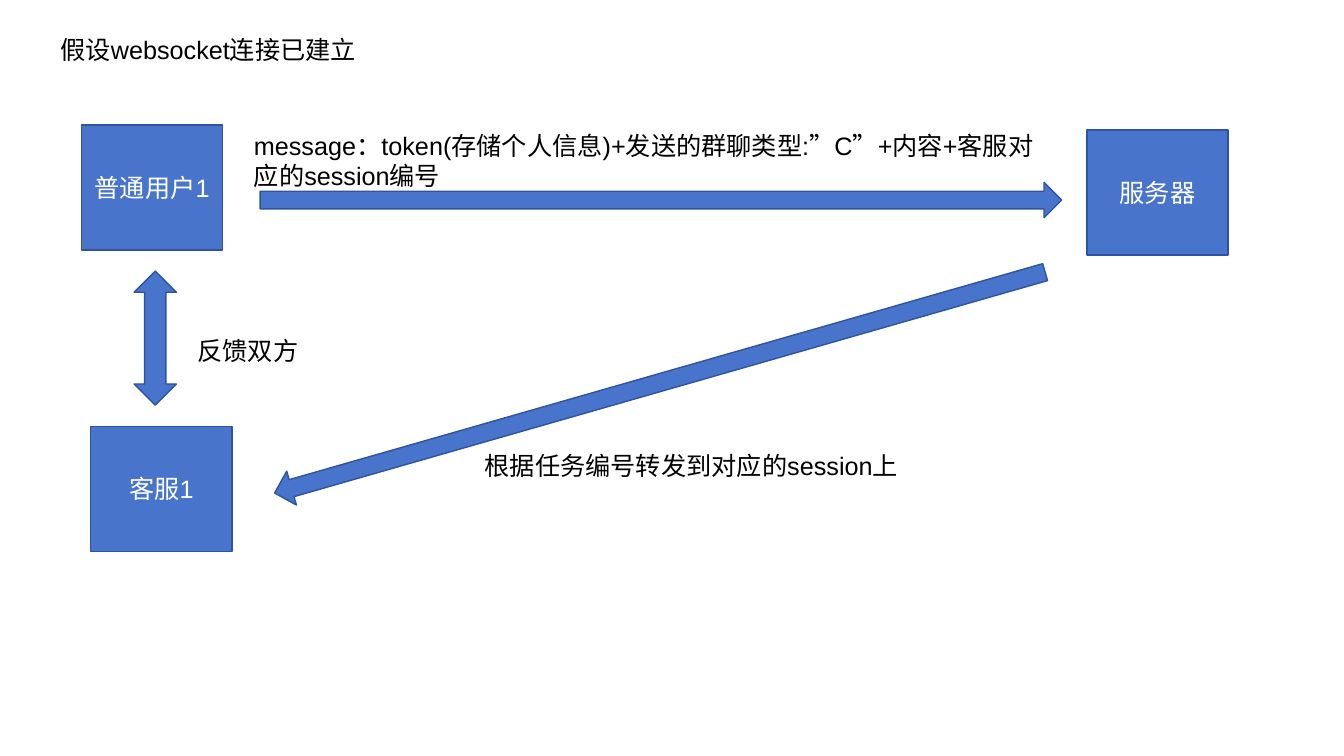
from pptx import Presentation
from pptx.dml.color import RGBColor
from pptx.enum.shapes import MSO_SHAPE as Shape
from pptx.enum.text import MSO_ANCHOR as Anchor, MSO_AUTO_SIZE as Fit, PP_ALIGN as Align
from pptx.util import Inches, Pt

COLORS = {"fill": "4874CB", "line": "2E54A1", "light": "FFFFFF", "dark": "000000"}


def color(name):
    """Return a palette colour."""
    return RGBColor.from_string(COLORS[name])


def write(frame, text, tint, align, anchor):
    """Fill a text frame with one styled paragraph."""
    frame.word_wrap = True
    frame.vertical_anchor = anchor
    frame.text = text
    para = frame.paragraphs[0]
    para.alignment = align
    font = para.font
    font.name, font.size, font.color.rgb = "Arial", Pt(18), color(tint)


def block(slide, kind, left, top, width, height, turn=0):
    """Add a filled and outlined preset shape."""
    shape = slide.shapes.add_shape(
        kind, Inches(left), Inches(top), Inches(width), Inches(height))
    shape.shadow.inherit = False
    shape.fill.solid()
    shape.fill.fore_color.rgb = color("fill")
    shape.line.color.rgb = color("line")
    shape.line.width = Pt(1)
    shape.rotation = turn
    return shape


def node(slide, text, left, top):
    """Add a labelled box for one party."""
    box = block(slide, Shape.RECTANGLE, left, top, 1.4, 1.24)
    write(box.text_frame, text, "light", Align.CENTER, Anchor.MIDDLE)


def label(slide, text, left, top, width, height=0.4):
    """Add a caption beside an arrow."""
    box = slide.shapes.add_textbox(
        Inches(left), Inches(top), Inches(width), Inches(height))
    write(box.text_frame, text, "dark", Align.LEFT, Anchor.TOP)
    box.text_frame.auto_size = Fit.SHAPE_TO_FIT_TEXT


def head(slide, text):
    """Place the slide title at the upper left."""
    title = slide.shapes.title
    title.left, title.top = Inches(0.5), Inches(0.29)
    title.width, title.height = Inches(4.44), Inches(0.4)
    write(title.text_frame, text, "dark", Align.LEFT, Anchor.TOP)
    title.text_frame.auto_size = Fit.SHAPE_TO_FIT_TEXT


def main():
    """Build and save the message flow slide."""
    deck = Presentation()
    deck.slide_width, deck.slide_height = Inches(13.33), Inches(7.5)
    slide = deck.slides.add_slide(deck.slide_layouts[5])
    head(slide, "假设websocket连接已建立")

    node(slide, "普通用户1", 0.81, 1.24)
    node(slide, "客服1", 0.9, 4.23)
    node(slide, "服务器", 10.78, 1.29)

    block(slide, Shape.RIGHT_ARROW, 2.58, 1.81, 7.95, 0.35)
    block(slide, Shape.UP_DOWN_ARROW, 1.33, 2.69, 0.42, 1.33)
    block(slide, Shape.RIGHT_ARROW, 2.57, 3.62, 7.95, 0.35, 164)

    label(slide, "message：token(存储个人信息)+发送的群聊类型:”C”+内容+客服对应的session编号",
          2.42, 1.24, 8.1, 0.71)
    label(slide, "反馈双方", 1.86, 3.28, 1.34)
    label(slide, "根据任务编号转发到对应的session上", 4.71, 4.42, 4.63)
    deck.save("out.pptx")


if __name__ == "__main__":
    main()
